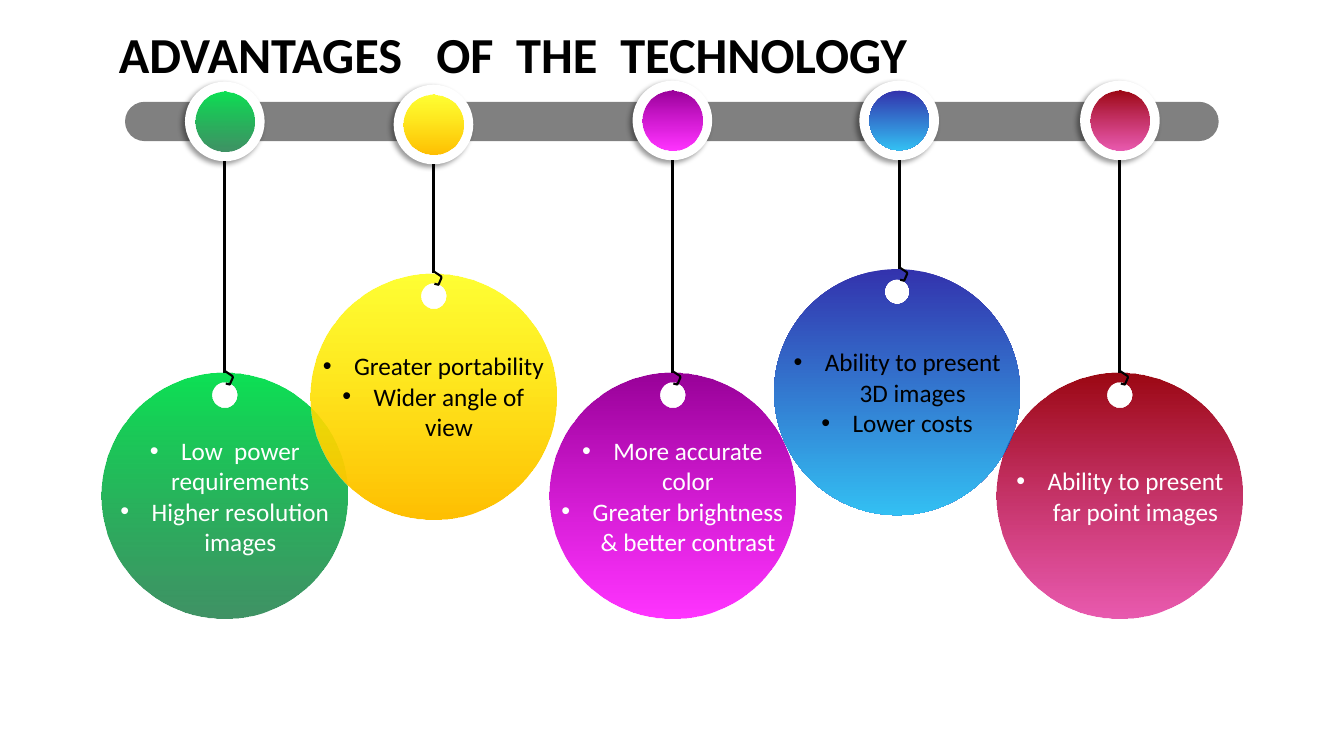
import pptx
import pptx.util
import pptx.dml.color
import pptx.enum.shapes
import pptx.enum.text
import pptx.oxml.ns
import lxml.etree

UNIT = pptx.util.Inches(0.1)
COLS, ROWS = 133.33, 75
OVAL = pptx.enum.shapes.MSO_SHAPE.OVAL
BAR = pptx.enum.shapes.MSO_SHAPE.ROUNDED_RECTANGLE
ALIGN = pptx.enum.text.PP_ALIGN
COLORS = {
    "black": "000000", "white": "FFFFFF", "gray": "808080",
    "lime": "0DE154", "forest": "147A42",
    "purple": "990099", "pink": "FF00FF",
    "red": "9C0813", "rose": "E3319B",
    "yellow": "FFFF00", "amber": "FFC000",
    "navy": "000099", "sky": "00B0F0",
}
DISC, KNOB, BEAD, HOLE = 24.4, 7.9, 5.9, 2.5
HOOK = [(0, -0.2), (0.75, 0.3), (0.8, 0.45), (0.5, 1.15), (0.1, 1.05)]
PENDANTS = [
    (22.3, 8.1, 61.4, 0, ("lime", 100), ("forest", 81), "white",
     ["Low  power requirements", "Higher resolution images"]),
    (66.7, 8, 61.4, 0, ("purple", 100), ("pink", 80), "white",
     ["More accurate color", "Greater brightness & better contrast"]),
    (111.1, 8, 61.4, 0, ("red", 100), ("rose", 80), "white",
     ["Ability to present far point images"]),
    (43, 8.4, 51.5, 0, ("yellow", 80), ("amber", 100), "black",
     ["Greater portability", "Wider angle of view"]),
    (89, 8, 51.1, 0.2, ("navy", 80), ("sky", 80), "black",
     ["Ability to present 3D images", "Lower costs"]),
]


def rgb(name):
    """Return the named colour."""
    return pptx.dml.color.RGBColor.from_string(COLORS[name])


def grid(*cells):
    """Turn grid cells into slide lengths."""
    return [round(cell * UNIT) for cell in cells]


def node(parent, tag, **attrs):
    """Add a drawing element below a parent."""
    return lxml.etree.SubElement(
        parent, pptx.oxml.ns.qn(tag), {k: str(v) for k, v in attrs.items()})


def write(shape, lines, size=18, color="black", bold=False,
          align=ALIGN.CENTER, bullet=False):
    """Fill a shape with formatted paragraphs."""
    frame = shape.text_frame
    frame.word_wrap = True
    frame.auto_size = pptx.enum.text.MSO_AUTO_SIZE.NONE
    frame.vertical_anchor = pptx.enum.text.MSO_ANCHOR.MIDDLE
    for i, line in enumerate(lines):
        para = frame.add_paragraph() if i else frame.paragraphs[0]
        para.alignment = align
        if bullet:
            props = para._p.get_or_add_pPr()
            indent = pptx.util.Inches(0.31)
            props.set("marL", str(indent))
            props.set("indent", str(-indent))
            node(props, "a:buFont", typeface="Arial")
            node(props, "a:buChar", char="•")
        run = para.add_run()
        run.text = line
        font = run.font
        font.name, font.size, font.bold = "Calibri", pptx.util.Pt(size), bold
        font.color.rgb = rgb(color)


def plain(shape, color):
    """Give a shape a solid fill without line or shadow."""
    shape.shadow.inherit = False
    shape.line.fill.background()
    shape.fill.solid()
    shape.fill.fore_color.rgb = rgb(color)


def blend(shape, *stops):
    """Give a shape a downward gradient of colours and opacities."""
    plain(shape, "white")
    shape.fill.gradient()
    shape.fill.gradient_angle = 270
    for stop, (color, alpha) in zip(shape.fill.gradient_stops, stops):
        stop.color.rgb = rgb(color)
    tones = shape.element.spPr.iter(pptx.oxml.ns.qn("a:srgbClr"))
    for tone, (color, alpha) in zip(list(tones), stops):
        node(tone, "a:alpha", val=alpha * 1000)


def ink(line, width):
    """Draw a line in black."""
    line.color.rgb = rgb("black")
    line.width = pptx.util.Pt(width)


def ring(x, y, size):
    """Return a circle's quarter points, clockwise from the right."""
    r = size / 2
    return [grid(x + dx * r, y + dy * r)
            for dx, dy in ((1, 0), (0, 1), (-1, 0), (0, -1), (1, 0))]


def dot(group, x, y, size):
    """Add a circle around a centre."""
    return group.shapes.add_shape(
        OVAL, *grid(x - size / 2, y - size / 2, size, size))


def tag(group, left, top):
    """Add a disc with a punched hole."""
    mid = left + DISC / 2
    outer = ring(mid, top + DISC / 2, DISC)
    inner = ring(mid, top + 2.25, HOLE)
    form = group.shapes.build_freeform(*outer[0], scale=1.0)
    form.add_line_segments(outer[1:], close=True)
    form.move_to(*inner[0])
    form.add_line_segments(inner[1:], close=True)
    disc = form.convert_to_shape()
    sides = list(disc.element.spPr.iter(pptx.oxml.ns.qn("a:lnTo")))
    for i, side in enumerate(sides):
        radius = grid((DISC if i < 4 else HOLE) / 2)[0]
        arc = node(side.getparent(), "a:arcTo", wR=radius, hR=radius,
                   stAng=i % 4 * 5400000, swAng=5400000)
        side.getparent().replace(side, arc)
    return disc


def pendant(slide, box, lean, start, end, color, lines):
    """Hang a labelled disc from a knob inside a box."""
    left, top, width, height = box
    mid = left + width / 2 + lean
    rim = top + height - DISC
    group = slide.shapes.add_group_shape()
    disc = tag(group, left, rim)
    blend(disc, start, end)
    write(disc, lines, color=color, bullet=True)

    knob = dot(group, mid, top + KNOB / 2, KNOB)
    plain(knob, "white")
    effects = knob.element.spPr.find(pptx.oxml.ns.qn("a:effectLst"))
    shade = node(effects, "a:outerShdw", blurRad=pptx.util.Pt(4),
                 dist=pptx.util.Pt(3), dir=135 * 60000, algn="tr",
                 rotWithShape=0)
    tone = node(shade, "a:srgbClr", val=COLORS["black"])
    node(tone, "a:alpha", val=40000)
    blend(dot(group, mid, top + KNOB / 2, BEAD), start, end)

    cord = group.shapes.add_connector(
        pptx.enum.shapes.MSO_CONNECTOR.STRAIGHT,
        *grid(mid, top + KNOB, mid, rim))
    ink(cord.line, 2.25)
    node(cord._element.spPr, "a:effectLst")

    curve = [grid(mid + x, rim + y) for x, y in HOOK]
    form = group.shapes.build_freeform(*curve[0], scale=1.0)
    form.add_line_segments(curve[1:], close=False)
    hook = form.convert_to_shape()
    hook.shadow.inherit = False
    hook.fill.background()
    ink(hook.line, 1.5)


def rail(slide, box):
    """Add the bar that holds the knobs."""
    bar = slide.shapes.add_shape(BAR, *grid(*box))
    bar.adjustments[0] = 0.5
    plain(bar, "gray")


def head(slide, box):
    """Place and write the title."""
    title = slide.shapes.title
    title.left, title.top, title.width, title.height = grid(*box)
    write(title, ["ADVANTAGES   OF  THE  TECHNOLOGY"], size=36, bold=True,
          align=ALIGN.LEFT)


def main():
    """Build the slide and save it."""
    deck = pptx.Presentation()
    deck.slide_width, deck.slide_height = grid(COLS, ROWS)
    slide = deck.slides.add_slide(deck.slide_layouts[5])
    head(slide, (10.8, 1.7, 111.3, 7.1))
    rail(slide, (12.4, 10.1, 108.5, 3.9))
    for mid, top, base, *rest in PENDANTS:
        pendant(slide, (mid - DISC / 2, top, DISC, base - top), *rest)
    deck.save("out.pptx")


if __name__ == "__main__":
    main()
